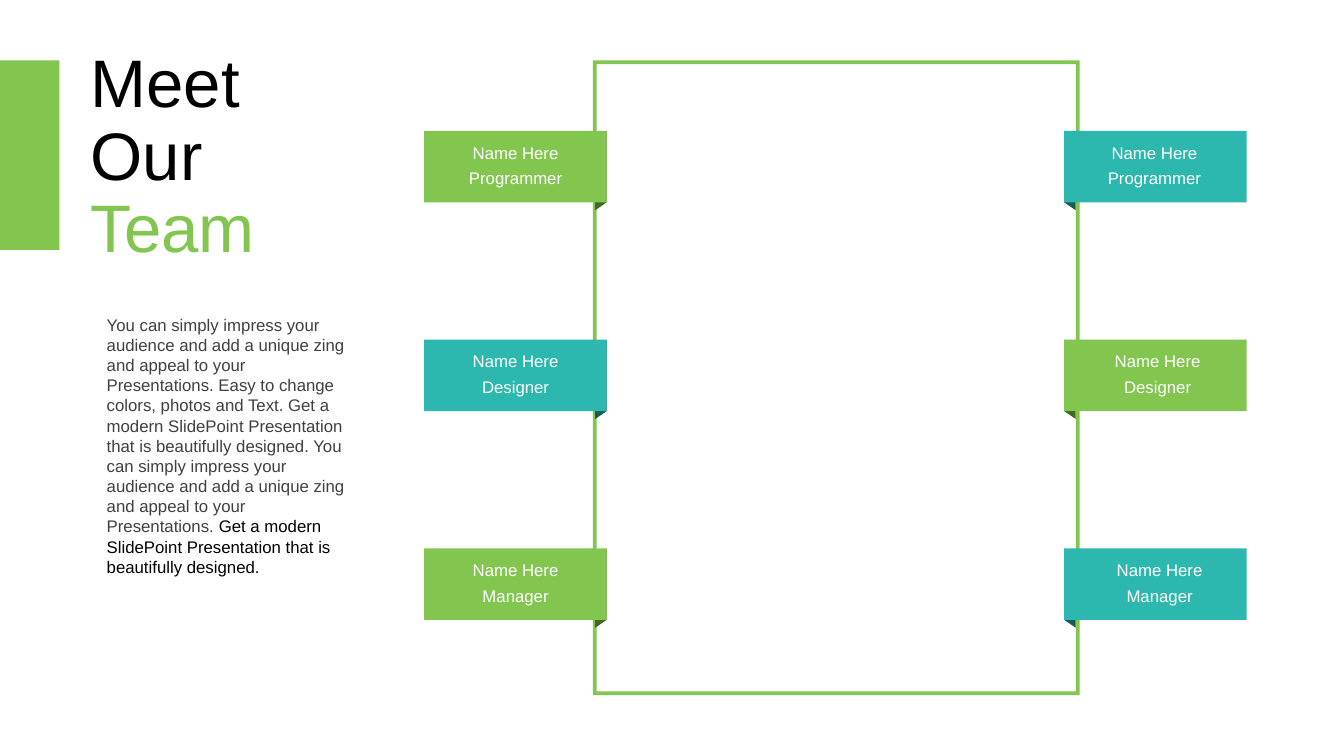
from dataclasses import dataclass

from pptx import Presentation
from pptx.dml.color import RGBColor
from pptx.enum.shapes import MSO_SHAPE
from pptx.enum.text import MSO_ANCHOR, MSO_AUTO_SIZE, PP_ALIGN
from pptx.shapes.autoshape import Shape
from pptx.slide import Slide
from pptx.text.text import TextFrame
from pptx.util import Cm, Pt

GREEN, TEAL = "82C650", "2CB8AE"
SHADE = {GREEN: "406922", TEAL: "165C57"}
WIDTH, HEIGHT = 4.6, 1.8
LEFT, RIGHT = 10.69, 26.82
TOP, STEP = 3.3, 5.26
FOLD, DROP = 0.29, 0.2


@dataclass
class Member:
    role: str
    row: int
    right: bool
    color: str
    inset: float


TEAM = [
    Member("Programmer", 0, False, GREEN, 0.16),
    Member("Designer", 1, False, TEAL, 0.16),
    Member("Manager", 2, False, GREEN, 0.16),
    Member("Programmer", 0, True, TEAL, 0.13),
    Member("Designer", 1, True, GREEN, 0.21),
    Member("Manager", 2, True, TEAL, 0.26),
]


def paint(shape: Shape, color: str) -> None:
    shape.fill.solid()
    shape.fill.fore_color.rgb = RGBColor.from_string(color)
    shape.line.fill.background()
    shape.shadow.inherit = False


def block(slide: Slide, kind: MSO_SHAPE, x: float, y: float, w: float, h: float, color: str) -> Shape:
    shape = slide.shapes.add_shape(kind, Cm(x), Cm(y), Cm(w), Cm(h))
    paint(shape, color)
    return shape


def write(frame: TextFrame, *runs: tuple[str, str], size: int = 12,
          align: PP_ALIGN = PP_ALIGN.LEFT, anchor: MSO_ANCHOR = MSO_ANCHOR.MIDDLE,
          fit: MSO_AUTO_SIZE = MSO_AUTO_SIZE.NONE, line: float = 1.0) -> None:
    frame.word_wrap = True
    frame.auto_size = fit
    frame.vertical_anchor = anchor
    para = frame.paragraphs[0]
    para.alignment = align
    para.line_spacing = line
    for text, color in runs:
        run = para.add_run()
        run.text = text
        run.font.name = "Arial"
        run.font.size = Pt(size)
        run.font.color.rgb = RGBColor.from_string(color)


def draw(slide: Slide, member: Member) -> None:
    x = RIGHT if member.right else LEFT
    y = TOP + STEP * member.row
    edge = x if member.right else x + WIDTH
    tip = edge + FOLD if member.right else edge - FOLD
    pen = slide.shapes.build_freeform(Cm(edge), Cm(y))
    pen.add_line_segments([
        (Cm(edge), Cm(y + HEIGHT)),
        (Cm(tip), Cm(y + HEIGHT + DROP)),
        (Cm(tip), Cm(y + DROP)),
    ])
    paint(pen.convert_to_shape(), SHADE[member.color])
    block(slide, MSO_SHAPE.RECTANGLE, x, y, WIDTH, HEIGHT, member.color)
    for i, text in enumerate(("Name Here", member.role)):
        box = slide.shapes.add_textbox(Cm(x + member.inset), Cm(y + 0.2 + 0.64 * i), Cm(4.29), Cm(0.69))
        write(box.text_frame, (text, "FFFFFF"), align=PP_ALIGN.CENTER)


def main() -> None:
    deck = Presentation()
    deck.slide_width, deck.slide_height = Cm(33.87), Cm(19.05)
    slide = deck.slides.add_slide(deck.slide_layouts[5])

    title = slide.shapes.title
    title.left, title.top, title.width, title.height = Cm(2.03), Cm(1.07), Cm(5.33), Cm(5.84)
    write(title.text_frame, ("Meet Our ", "000000"), ("Team", GREEN), size=48, line=0.9)

    frame = block(slide, MSO_SHAPE.FRAME, 14.94, 1.52, 12.27, 16, GREEN)
    frame.adjustments[0] = 0.008
    block(slide, MSO_SHAPE.RECTANGLE, 0, 1.52, 1.5, 4.78, GREEN)

    body = slide.shapes.add_textbox(Cm(2.44), Cm(7.8), Cm(6.73), Cm(6.93))
    write(
        body.text_frame,
        ("You can simply impress your audience and add a unique zing and appeal to your "
         "Presentations. Easy to change colors, photos and Text. Get a modern SlidePoint "
         "Presentation that is beautifully designed. You can simply impress your audience "
         "and add a unique zing and appeal to your Presentations. ", "404040"),
        ("Get a modern SlidePoint Presentation that is beautifully designed.", "000000"),
        anchor=MSO_ANCHOR.TOP, fit=MSO_AUTO_SIZE.SHAPE_TO_FIT_TEXT,
    )

    for member in TEAM:
        draw(slide, member)
    deck.save("out.pptx")


if __name__ == "__main__":
    main()
